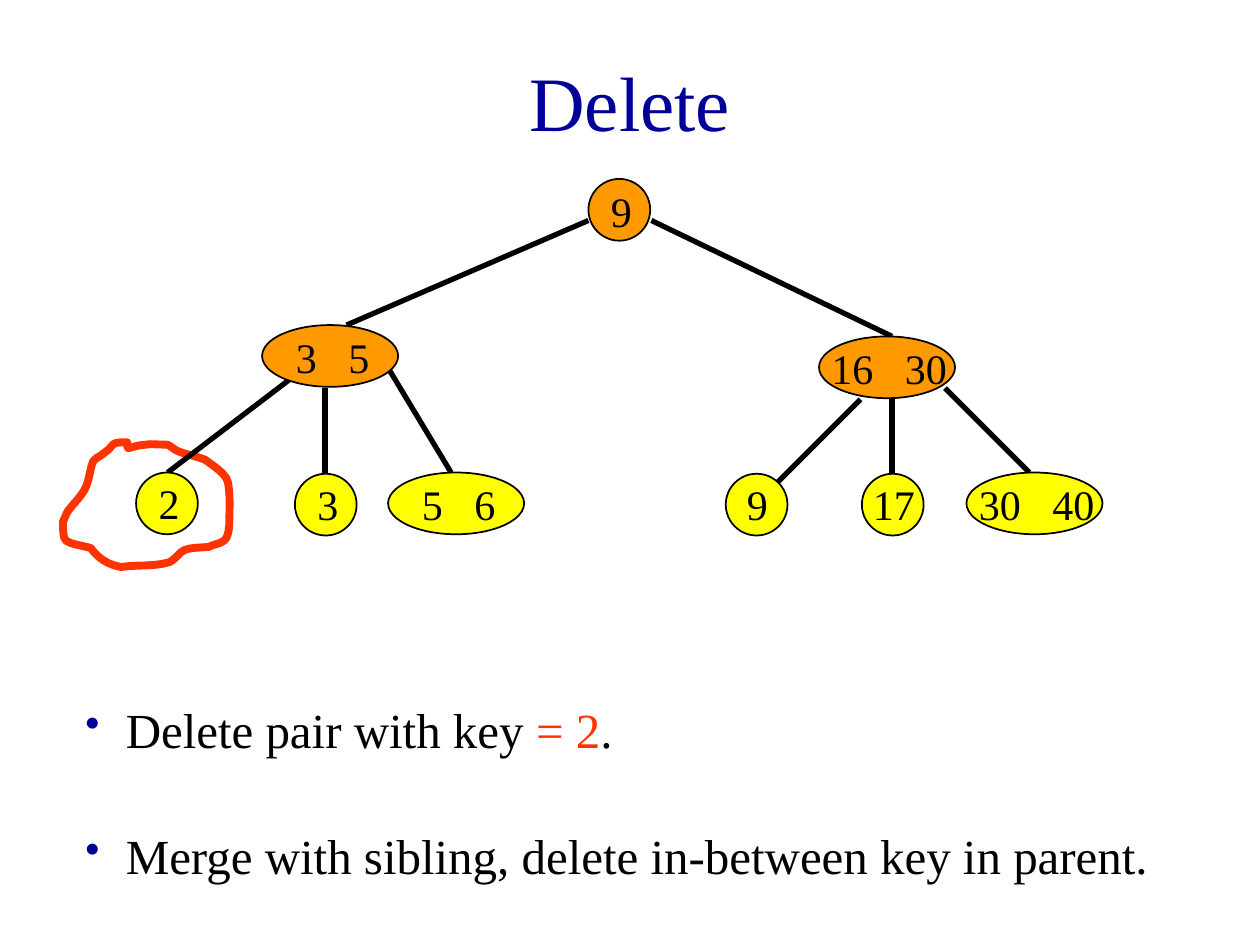
from lxml.etree import SubElement
from pptx import Presentation
from pptx.dml.color import RGBColor
from pptx.enum.shapes import MSO_CONNECTOR as CONN, MSO_SHAPE as SHAPE
from pptx.enum.text import MSO_ANCHOR as ANCHOR, PP_ALIGN as ALIGN
from pptx.oxml.ns import qn
from pptx.util import Inches, Pt

FONT = "Times New Roman"
NAVY, RED, BLACK = "000099", "FF3300", "000000"
ORANGE, YELLOW = "FF9900", "FFFF00"
HIGH, WIDE = 0.49, 1.08  # node height, width of a two-key node

# keys, fill, node left and top, text left, top and width
NODES = [
    (["9"], ORANGE, 4.67, 1.42, 4.75, 1.42, 0.42),
    (["3", "5"], ORANGE, 2.08, 2.58, 2.25, 2.58, 0.83),
    (["16", "30"], ORANGE, 6.5, 2.67, 6.5, 2.67, 1.5),
    (["2"], YELLOW, 1.08, 3.75, 1.16, 3.74, 0.42),
    (["3"], YELLOW, 2.34, 3.76, 2.42, 3.75, 0.42),
    (["5", "6"], YELLOW, 3.08, 3.75, 3.25, 3.75, 0.83),
    (["9"], YELLOW, 5.76, 3.76, 5.83, 3.75, 0.42),
    (["17"], YELLOW, 6.84, 3.76, 6.83, 3.75, 1),
    (["30", "40"], YELLOW, 7.67, 3.75, 7.67, 3.75, 1.5),
]
EDGES = [
    (4.67, 1.75, 2.75, 2.58), (5.17, 1.75, 7.08, 2.67),
    (2.42, 2.92, 1.33, 3.75), (2.58, 3.08, 2.58, 3.75),
    (3.08, 2.92, 3.58, 3.75), (6.83, 3.17, 6.17, 3.83),
    (7.08, 3.17, 7.08, 3.83), (7.5, 3.08, 8.17, 3.75),
]
STEPS = [
    (5.5, 6.67, [("Delete pair with key ", BLACK), ("= 2", RED), (".", BLACK)]),
    (6.5, 8.67, [("Merge with sibling, delete in-between key in parent.", BLACK)]),
]
# ring round the deleted leaf: start, then two handles and an end per curve
START = (1.01, 3.51)
CURVES = [
    (0.97, 3.51, 0.94, 3.51, 0.91, 3.52), (0.89, 3.53, 0.88, 3.55, 0.86, 3.57),
    (0.69, 3.7, 0.84, 3.57, 0.74, 3.66), (0.71, 3.73, 0.71, 3.82, 0.67, 3.89),
    (0.64, 3.94, 0.6, 3.98, 0.56, 4.03), (0.53, 4.06, 0.52, 4.1, 0.5, 4.14),
    (0.5, 4.18, 0.5, 4.23, 0.51, 4.27), (0.52, 4.32, 0.67, 4.33, 0.72, 4.35),
    (0.78, 4.43, 0.85, 4.48, 0.96, 4.5), (1.09, 4.48, 1.23, 4.5, 1.35, 4.46),
    (1.38, 4.44, 1.41, 4.41, 1.44, 4.38), (1.49, 4.34, 1.59, 4.35, 1.66, 4.34),
    (1.69, 4.32, 1.74, 4.32, 1.78, 4.29), (1.82, 4.26, 1.82, 4.15, 1.82, 4.15),
    (1.82, 4.05, 1.83, 3.94, 1.81, 3.83), (1.8, 3.76, 1.68, 3.69, 1.63, 3.65),
    (1.56, 3.62, 1.48, 3.61, 1.41, 3.58), (1.4, 3.58, 1.34, 3.53, 1.33, 3.53),
    (1, 3.5, 1.01, 3.62, 1.01, 3.51),
]

prs = Presentation()
prs.slide_width, prs.slide_height = Inches(10), Inches(7.5)
shapes = prs.slides.add_slide(prs.slide_layouts[6]).shapes


def paint(color):
    return RGBColor.from_string(color)


def stroke(shape, color, width):
    shape.line.color.rgb = paint(color)
    shape.line.width = Pt(width)


def write(runs, left, top, width, height, size=24, align=ALIGN.LEFT,
          anchor=ANCHOR.TOP, bullet=None, tab=None):
    """Add a text box of (text, colour) runs."""
    box = shapes.add_textbox(*map(Inches, (left, top, width, height)))
    frame = box.text_frame
    frame.word_wrap = True
    frame.vertical_anchor = anchor
    para = frame.paragraphs[0]
    para.alignment = align
    props = para._p.get_or_add_pPr()
    if bullet:
        props.set("marL", str(Inches(0.32)))
        props.set("indent", str(-Inches(0.32)))
        tint = SubElement(props, qn("a:buClr"))
        SubElement(tint, qn("a:srgbClr"), val=bullet)
        SubElement(props, qn("a:buSzPct"), val="86000")
        SubElement(props, qn("a:buChar"), char="•")
    if tab:
        stops = SubElement(props, qn("a:tabLst"))
        SubElement(stops, qn("a:tab"), pos=str(Inches(tab)), algn="l")
    for text, color in runs:
        run = para.add_run()
        run.text = text
        run.font.name, run.font.size = FONT, Pt(size)
        run.font.color.rgb = paint(color)


def trace(start, curves, parts=6):
    """Yield points along a chain of cubic curves, in EMU."""
    x, y = start
    for ax, ay, bx, by, ex, ey in curves:
        for i in range(1, parts + 1):
            t = i / parts
            u = 1 - t
            mix = (u ** 3, 3 * u * u * t, 3 * u * t * t, t ** 3)
            yield tuple(Inches(sum(m * v for m, v in zip(mix, axis)))
                        for axis in ((x, ax, bx, ex), (y, ay, by, ey)))
        x, y = ex, ey


write([("Delete", NAVY)], 0.75, 0.17, 8.5, 1.25, size=44,
      align=ALIGN.CENTER, anchor=ANCHOR.MIDDLE)

pen = shapes.build_freeform(*map(Inches, START))
pen.add_line_segments(trace(START, CURVES), close=True)
ring = pen.convert_to_shape()
ring.shadow.inherit = False
ring.fill.background()
stroke(ring, RED, 4.5)

for ends in EDGES:
    edge = shapes.add_connector(CONN.STRAIGHT, *map(Inches, ends))
    stroke(edge, BLACK, 3)
    SubElement(edge._element.spPr, qn("a:effectLst"))

for keys, fill, left, top, text_x, text_y, text_w in NODES:
    pair = len(keys) > 1
    node = shapes.add_shape(SHAPE.OVAL, *map(
        Inches, (left, top, WIDE if pair else HIGH, HIGH)))
    node.shadow.inherit = False
    node.fill.solid()
    node.fill.fore_color.rgb = paint(fill)
    stroke(node, BLACK, 1)
    gap = 0.25 + len(keys[0]) / 6  # a digit is a sixth of an inch wide
    write([("\t".join(keys), BLACK)], text_x, text_y, text_w, 0.5,
          tab=gap if pair else None)

for top, width, runs in STEPS:
    write(runs, 0.58, top, width, 0.57, size=28, bullet=NAVY)

prs.save("out.pptx")
